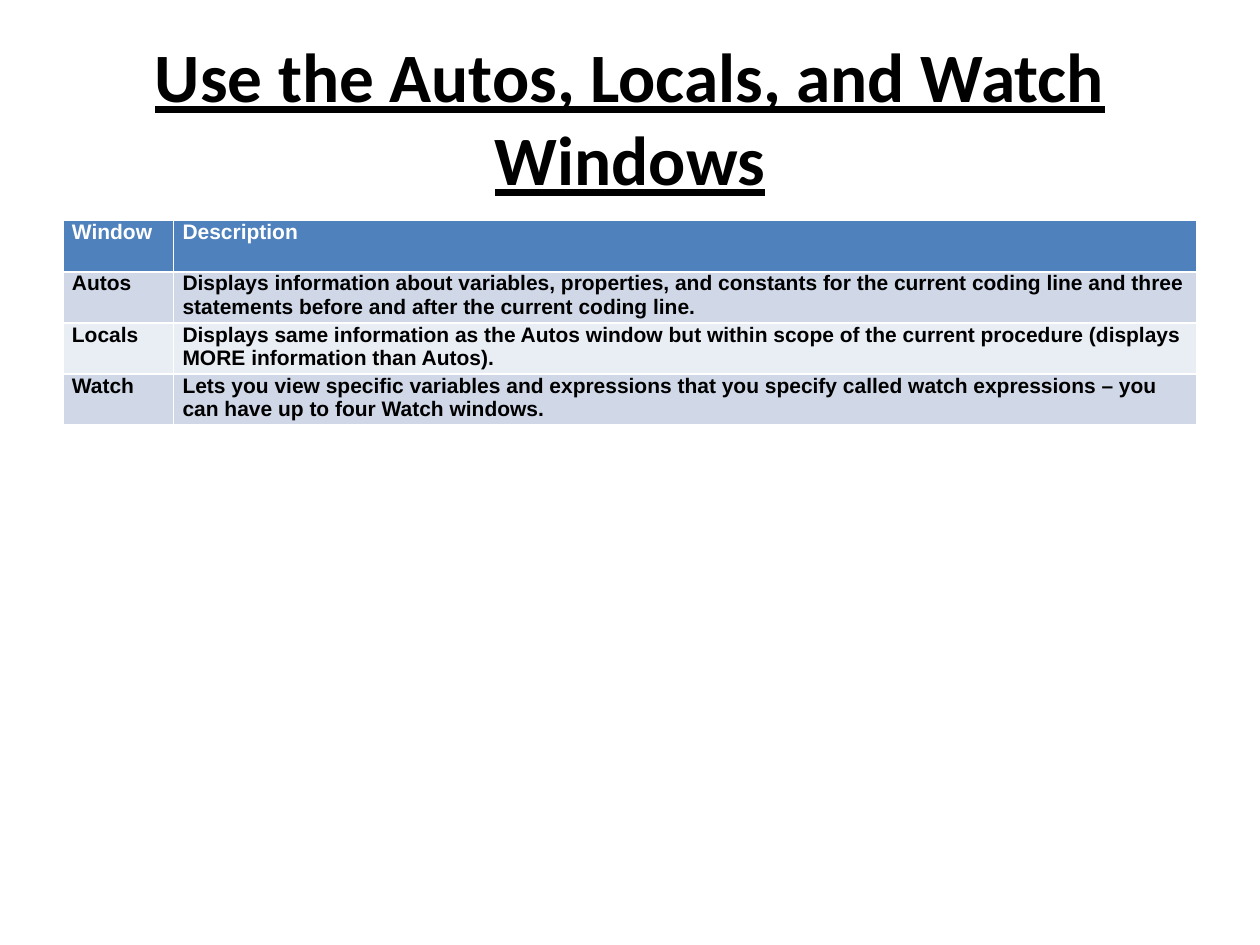
"""Build a slide that compares the Autos, Locals and Watch windows."""
from pptx import Presentation
from pptx import util as u
from pptx.dml.color import RGBColor
from pptx.enum import text

COLOURS = {
    "black": "000000",
    "white": "FFFFFF",
    "header": "4F81BD",
    "odd": "D0D8E8",
    "even": "E9EDF4",
}
ROWS = [
    ("Window", "Description"),
    ("Autos", "Displays information about variables, properties, and constants for the "
              "current coding line and three statements before and after the current coding line."),
    ("Locals", "Displays same information as the Autos window but within scope of the "
               "current procedure (displays MORE information than Autos)."),
    ("Watch", "Lets you view specific variables and expressions that you specify called "
              "watch expressions – you can have up to four Watch windows."),
]


def write(frame, words, *, font, size, colour, underline=False, align="LEFT", before=0):
    para = frame.paragraphs[0]
    para.alignment = text.PP_ALIGN[align]
    para.space_before = u.Pt(before)
    span = para.add_run()
    span.text = words
    span.font.name = font
    span.font.size = u.Pt(size)
    span.font.bold = True
    span.font.underline = underline
    span.font.color.rgb = RGBColor.from_string(COLOURS[colour])


deck = Presentation()
deck.slide_width, deck.slide_height = u.Cm(25.4), u.Cm(19.05)
page = deck.slides.add_slide(deck.slide_layouts[6])

title_box = page.shapes.add_textbox(u.Cm(1.27), u.Cm(0.76), u.Cm(22.86), u.Cm(3.18))
title_box.text_frame.word_wrap = True
title_box.text_frame.vertical_anchor = text.MSO_ANCHOR.MIDDLE
write(title_box.text_frame, "Use the Autos, Locals, and Watch Windows",
      font="Calibri", size=39.6, colour="black", underline=True, align="CENTER")

table = page.shapes.add_table(len(ROWS), 2, u.Cm(1.27), u.Cm(4.45), u.Cm(22.86), u.Cm(4.12)).table
for column, width in zip(table.columns, (2.23, 20.63)):
    column.width = u.Cm(width)

for row_number, row in enumerate(ROWS):
    table.rows[row_number].height = u.Cm(1.03)
    band = "header" if row_number == 0 else "odd" if row_number % 2 else "even"
    for column_number, words in enumerate(row):
        cell = table.cell(row_number, column_number)
        cell.fill.solid()
        cell.fill.fore_color.rgb = RGBColor.from_string(COLOURS[band])
        cell.margin_left = cell.margin_right = u.Cm(0.18)
        cell.margin_top = cell.margin_bottom = 0
        write(cell.text_frame, words, font="Arial", size=12, before=3,
              colour="white" if band == "header" else "black")

deck.save("out.pptx")
